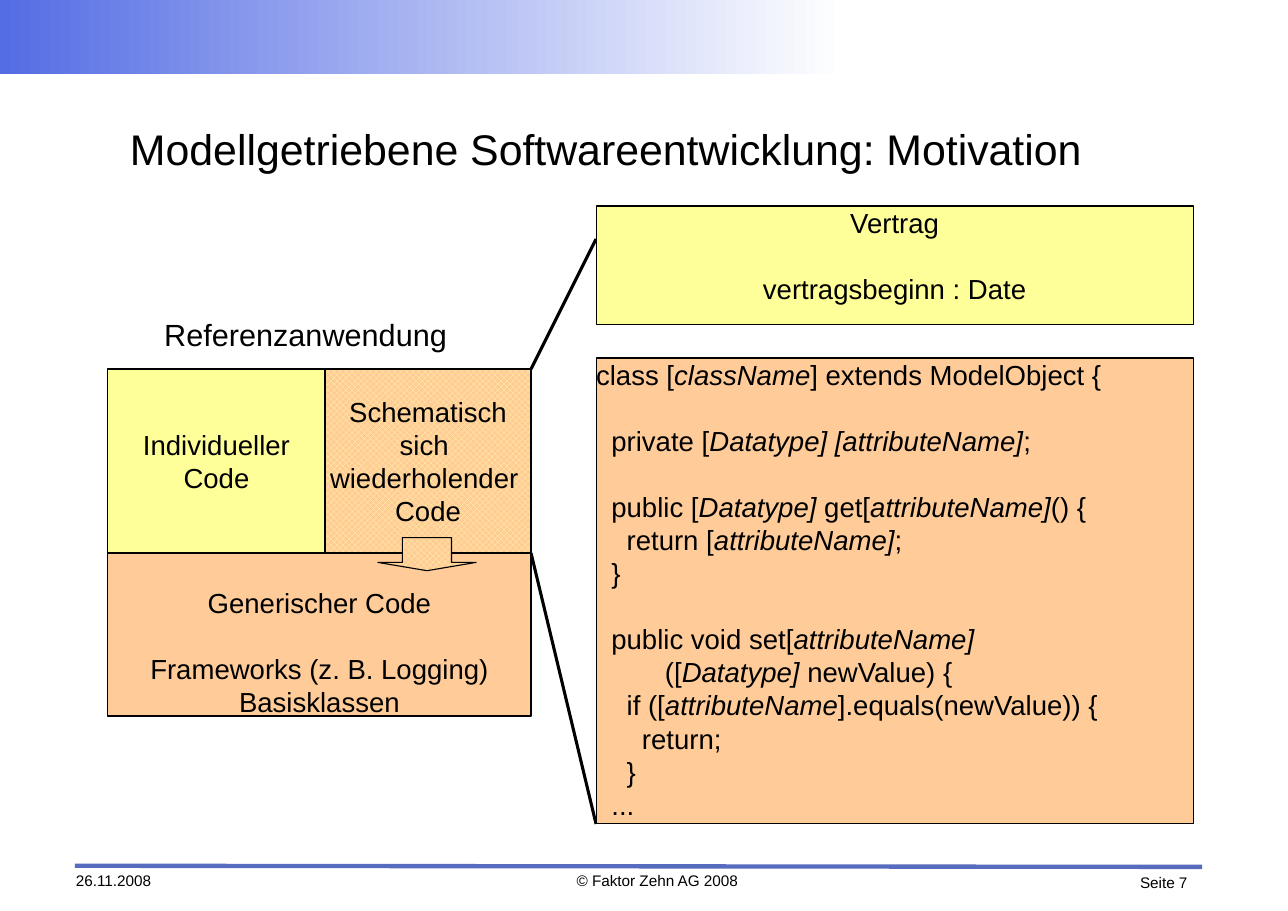
from dataclasses import dataclass, field
from typing import Any

from lxml import etree
from pptx import Presentation
from pptx.dml.color import RGBColor
from pptx.enum.dml import MSO_PATTERN
from pptx.enum.shapes import MSO_CONNECTOR, MSO_SHAPE
from pptx.enum.text import MSO_ANCHOR, PP_ALIGN
from pptx.oxml.ns import qn
from pptx.util import Inches, Pt

RECTANGLE, DOWN_ARROW = MSO_SHAPE.RECTANGLE, MSO_SHAPE.DOWN_ARROW
STRAIGHT, DIAMONDS = MSO_CONNECTOR.STRAIGHT, MSO_PATTERN.from_xml("openDmnd")
LEFT, CENTER, RIGHT = PP_ALIGN.LEFT, PP_ALIGN.CENTER, PP_ALIGN.RIGHT
TOP, MIDDLE = MSO_ANCHOR.TOP, MSO_ANCHOR.MIDDLE


@dataclass(frozen=True)
class Theme:
    font: str = "Arial"
    ink: RGBColor = RGBColor.from_string("000000")
    paper: RGBColor = RGBColor.from_string("FFFFFF")
    banner: RGBColor = RGBColor.from_string("556DE4")
    rule: RGBColor = RGBColor.from_string("576BBF")
    yellow: RGBColor = RGBColor.from_string("FFFF99")
    orange: RGBColor = RGBColor.from_string("FFCC99")
    title: float = 28
    label: float = 20
    body: float = 18
    footer: float = 10
    leading: float = 1.2
    hairline: float = 0
    rule_width: float = 2.83


THEME = Theme()

# Grid lines, in percent of the slide's width and height
WIDTH, HEIGHT = 11.69, 8.27
APP_LEFT, APP_SPLIT, APP_RIGHT = 8.38, 25.24, 41.23
APP_TOP, APP_MIDDLE, APP_BOTTOM = 40.51, 60.7, 78.6
DETAIL_LEFT, DETAIL_RIGHT = 46.28, 92.64
CODE_TOP, CODE_BOTTOM = 39.3, 90.45
FOOTER_TOP, FOOTER_BOTTOM = 95.65, 98.07


@dataclass(frozen=True)
class Area:
    left: float
    top: float
    right: float
    bottom: float


@dataclass(frozen=True)
class Text:
    """Text whose empty lines become gaps and whose *parts* are italic."""
    area: Area
    words: str
    size: float = THEME.body
    align: Any = CENTER
    anchor: Any = TOP
    inset_lines: int = 0


@dataclass(frozen=True)
class Block:
    text: Text
    fills: list[RGBColor] = field(default_factory=list)


@dataclass(frozen=True)
class Line:
    area: Area
    color: RGBColor = THEME.ink
    width: float = THEME.hairline


# Wording and placement
CODE = """class [*className*] extends ModelObject {

  private [*Datatype] [attributeName]*;

  public [*Datatype]* get[*attributeName]*() {
    return [*attributeName]*;
  }

  public void set[*attributeName]*
         ([*Datatype]* newValue) {
    if ([*attributeName*].equals(newValue)) {
      return;
    }
  ..."""

TEXTS = [
    Text(Area(87.43, 95.89, 92.2, 98.19), "Seite 7", THEME.footer, RIGHT),
    Text(Area(5.9, FOOTER_TOP, 15.91, FOOTER_BOTTOM), "26.11.2008", THEME.footer, LEFT),
    Text(Area(44.14, FOOTER_TOP, 57.91, FOOTER_BOTTOM), "© Faktor Zehn AG 2008", THEME.footer),
    Text(Area(12.75, 34.7, 34.73, 38.45), "Referenzanwendung", THEME.label, LEFT),
    Text(Area(10.09, 11, 89.73, 21.52), "Modellgetriebene Softwareentwicklung: Motivation",
         THEME.title, LEFT, MIDDLE),
]

BLOCKS = [
    Block(Text(Area(DETAIL_LEFT, CODE_TOP, DETAIL_RIGHT, CODE_BOTTOM), CODE, align=LEFT),
          [THEME.orange]),
    Block(Text(Area(APP_LEFT, APP_MIDDLE, APP_RIGHT, APP_BOTTOM),
               "Generischer Code\n\nFrameworks (z. B. Logging)\nBasisklassen", inset_lines=1),
          [THEME.orange]),
    Block(Text(Area(APP_LEFT, APP_TOP, APP_SPLIT, APP_MIDDLE),
               "Individueller\nCode", anchor=MIDDLE), [THEME.yellow]),
    Block(Text(Area(APP_SPLIT, APP_TOP, APP_RIGHT, APP_MIDDLE),
               "Schematisch\nsich \nwiederholender \nCode", anchor=MIDDLE),
          [THEME.yellow, THEME.orange]),
    Block(Text(Area(DETAIL_LEFT, 22.61, DETAIL_RIGHT, 35.67),
               "Vertrag\n\nvertragsbeginn : Date"), [THEME.yellow]),
]

LINES = [
    Line(Area(5.82, 95.04, 93.33, 95.16), THEME.rule, THEME.rule_width),
    Line(Area(APP_RIGHT, APP_TOP, DETAIL_LEFT, 26.24)),
    Line(Area(APP_RIGHT, APP_MIDDLE, DETAIL_LEFT, CODE_BOTTOM)),
]

BANNER = Area(0, 0, 65.61, 8.1)
ARROW = Area(29.34, 59.01, 36.96, 62.64)


# Drawing
def corners(area: Area) -> tuple[int, int, int, int]:
    across, down = Inches(WIDTH) / 100, Inches(HEIGHT) / 100
    return (round(area.left * across), round(area.top * down),
            round(area.right * across), round(area.bottom * down))


def frame(area: Area) -> tuple[int, int, int, int]:
    left, top, right, bottom = corners(area)
    return left, top, right - left, bottom - top


def apply(target: Any, values: dict[str, Any]) -> None:
    for name, value in values.items():
        setattr(target, name, value)


def write(box: Any, text: Text) -> None:
    leading = Pt(text.size * THEME.leading)
    apply(box.text_frame, {
        "word_wrap": True, "vertical_anchor": text.anchor,
        "margin_left": 0, "margin_right": 0, "margin_bottom": 0,
        "margin_top": leading * text.inset_lines,
    })
    para, gap = box.text_frame.paragraphs[0], False
    for number, line in enumerate(text.words.split("\n")):
        if not line:
            gap = True
            continue
        if number:
            para = box.text_frame.add_paragraph()
        apply(para, {"alignment": text.align, "line_spacing": leading,
                     "space_before": leading if gap else Pt(0)})
        gap = False
        for index, part in enumerate(line.split("*")):
            if part:
                span = para.add_run()
                span.text = part
                apply(span.font, {"name": THEME.font, "size": Pt(text.size),
                                  "italic": index % 2 == 1})
                span.font.color.rgb = THEME.ink


def draw_shape(page: Any, kind: Any, area: Area, fills: list[RGBColor]) -> Any:
    shape = page.shapes.add_shape(kind, *frame(area))
    shape.shadow.inherit = False
    if len(fills) == 1:
        shape.fill.solid()
        shape.fill.fore_color.rgb = fills[0]
    else:
        shape.fill.patterned()
        shape.fill.pattern = DIAMONDS
        shape.fill.fore_color.rgb, shape.fill.back_color.rgb = fills
    shape.line.color.rgb = THEME.ink
    shape.line.width = Pt(THEME.hairline)
    return shape


def draw_line(page: Any, line: Line) -> None:
    connector = page.shapes.add_connector(STRAIGHT, *corners(line.area))
    connector.line.color.rgb = line.color
    connector.line.width = Pt(line.width)
    etree.SubElement(connector._element.spPr, qn("a:effectLst"))


def draw_banner(page: Any) -> None:
    banner = page.shapes.add_shape(RECTANGLE, *frame(BANNER))
    banner.shadow.inherit = False
    banner.line.fill.background()
    banner.fill.gradient()
    banner.fill.gradient_angle = 0
    for stop, color in zip(banner.fill.gradient_stops, (THEME.banner, THEME.paper)):
        stop.color.rgb = color


def main() -> None:
    deck = Presentation()
    apply(deck, {"slide_width": Inches(WIDTH), "slide_height": Inches(HEIGHT)})
    page = deck.slides.add_slide(deck.slide_layouts[6])
    draw_banner(page)
    for line in LINES:
        draw_line(page, line)
    for block in BLOCKS:
        write(draw_shape(page, RECTANGLE, block.text.area, block.fills), block.text)
    arrow = draw_shape(page, DOWN_ARROW, ARROW, [THEME.yellow, THEME.orange])
    arrow.adjustments[0], arrow.adjustments[1] = 0.5, 0.25
    for text in TEXTS:
        write(page.shapes.add_textbox(*frame(text.area)), text)
    deck.save("out.pptx")


if __name__ == "__main__":
    main()
